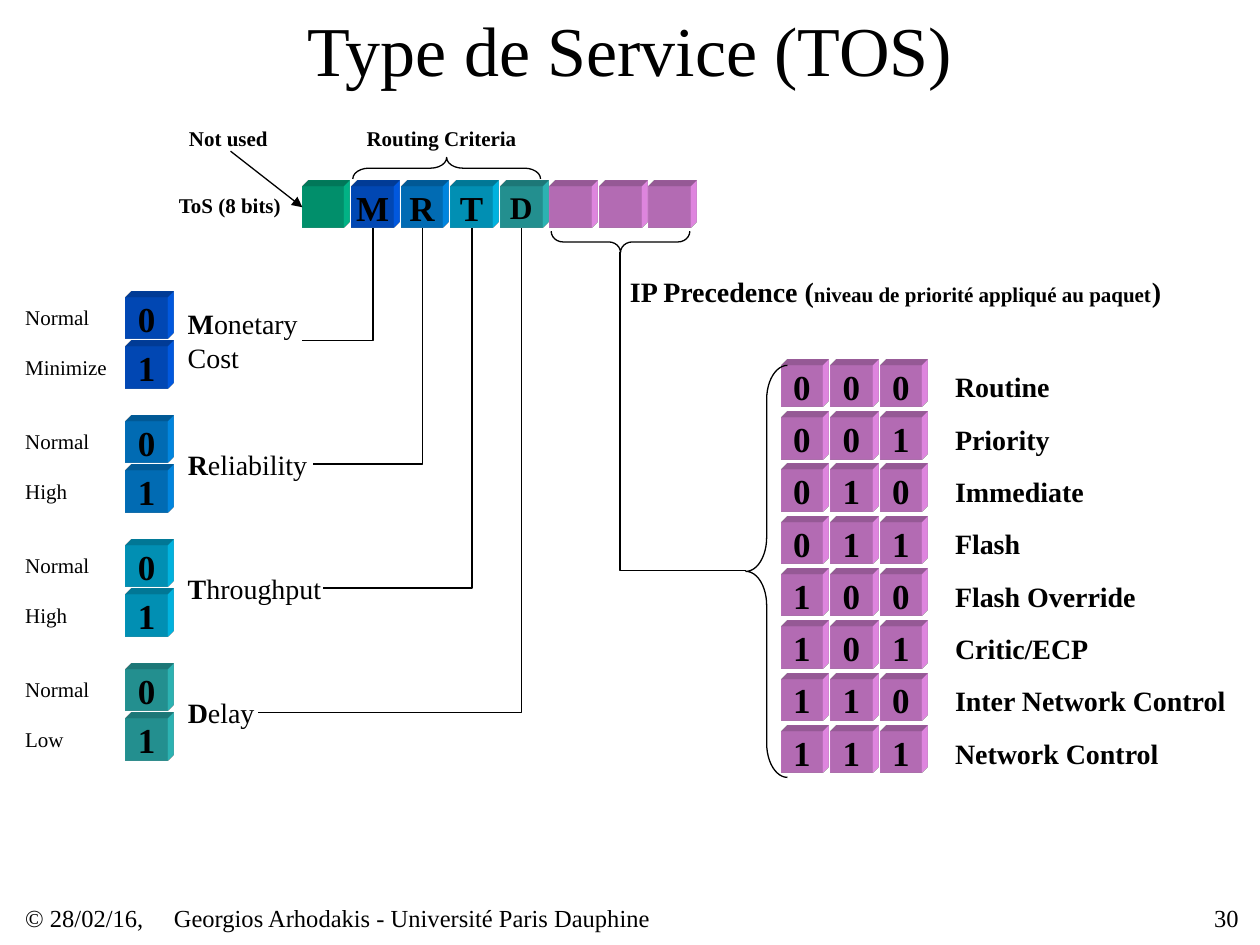
from lxml.etree import SubElement
from pptx import Presentation
from pptx.dml.color import RGBColor
from pptx.enum.shapes import MSO_CONNECTOR, MSO_SHAPE
from pptx.enum.text import MSO_ANCHOR, PP_ALIGN
from pptx.oxml import parse_xml
from pptx.oxml.ns import nsdecls, qn
from pptx.util import Inches, Pt

COLS, ROWS = 100, 75  # the grid: one cell is a tenth of an inch
SIDE, STEP = 3.3, 3.93  # cube side and pitch
PINK = "FF99FF"
ALIGN = {"l": PP_ALIGN.LEFT, "c": PP_ALIGN.CENTER, "r": PP_ALIGN.RIGHT}


def cell(n):
    return Inches(n / 10)


def color(code):
    return RGBColor.from_string(code)


def write(frame, *runs, size=12, bold=False, align="l", inset=True, wrap=True):
    """Fill a frame with runs; a run is a text or (text, changes)."""
    frame.word_wrap = wrap
    frame.vertical_anchor = MSO_ANCHOR.MIDDLE
    if not inset:
        frame.margin_left = frame.margin_right = 0
        frame.margin_top = frame.margin_bottom = 0
    par = frame.paragraphs[0]
    par.alignment = ALIGN[align]
    for item in runs:
        text, edit = (item, {}) if isinstance(item, str) else item
        run = par.add_run()
        run.text = text
        run.font.name = "Times New Roman"
        run.font.size = Pt(edit.get("size", size))
        run.font.bold = edit.get("bold", bold)
        run.font.color.rgb = color("000000")


class Board:
    ink = "000000"
    thin = 0.75

    def __init__(self, deck):
        self.slide = deck.slides.add_slide(deck.slide_layouts[5])
        self.shapes = self.slide.shapes

    def title(self, text, x, y, w, h):
        box = self.shapes.title
        box.left, box.top, box.width, box.height = map(cell, (x, y, w, h))
        write(box.text_frame, text, size=40, align="c")

    def label(self, x, y, w, h, *runs, **form):
        box = self.shapes.add_textbox(*map(cell, (x, y, w, h)))
        write(box.text_frame, *runs, inset=False, **form)

    def cube(self, x, y, fill, text="", size=20):
        box = self.shapes.add_shape(
            MSO_SHAPE.RECTANGLE, *map(cell, (x, y, SIDE, SIDE)))
        box.shadow.inherit = False
        box.fill.solid()
        box.fill.fore_color.rgb = color(fill)
        box.line.fill.background()
        if text:
            write(box.text_frame, text, size=size, bold=True, align="c", wrap=False)
        # Depth towards the top right
        props = box._element.spPr
        props.append(parse_xml(
            f'<a:scene3d {nsdecls("a")}><a:camera prst="legacyObliqueTopRight"/>'
            '<a:lightRig rig="legacyFlat3" dir="b"/></a:scene3d>'))
        props.append(parse_xml(
            f'<a:sp3d {nsdecls("a")} extrusionH="125000" prstMaterial="legacyMatte">'
            '<a:bevelT w="13500" h="13500" prst="angle"/>'
            '<a:bevelB w="13500" h="13500" prst="angle"/>'
            f'<a:extrusionClr><a:srgbClr val="{fill}"/></a:extrusionClr></a:sp3d>'))
        return box

    def brace(self, x, y, w, h, bend, turn=0, flip=False):
        mark = self.shapes.add_shape(
            MSO_SHAPE.LEFT_BRACE, *map(cell, (x, y, w, h)))
        mark.shadow.inherit = False
        mark.fill.background()
        mark.adjustments[0] = bend
        mark.rotation = turn
        if flip:
            mark._element.spPr.xfrm.set("flipV", "1")
        self.stroke(mark)

    def stroke(self, item):
        item.line.color.rgb = color(self.ink)
        item.line.width = Pt(self.thin)

    def link(self, kind, x1, y1, x2, y2):
        line = self.shapes.add_connector(kind, *map(cell, (x1, y1, x2, y2)))
        self.stroke(line)
        SubElement(line._element.spPr, qn("a:effectLst"))
        return line

    def arrow(self, x1, y1, x2, y2, goal, side):
        line = self.link(MSO_CONNECTOR.STRAIGHT, x1, y1, x2, y2)
        line.end_connect(goal, side)
        SubElement(line.line._get_or_add_ln(), qn("a:tailEnd"), type="triangle")

    def elbow(self, x1, y1, x2, y2):
        """Go down, then sideways: a one-bend connector on its side."""
        wide, high = abs(x2 - x1), abs(y2 - y1)
        left, top = (x1 + x2 - high) / 2, (y1 + y2 - wide) / 2
        line = self.link(MSO_CONNECTOR.ELBOW, left, top, left + high, top + wide)
        props = line._element.spPr
        props.find(qn("a:prstGeom")).set("prst", "bentConnector2")
        right = x2 > x1
        props.xfrm.set("rot", str((270 if right else 90) * 60000))
        if right:
            props.xfrm.set("flipH", "1")


def main():
    deck = Presentation()
    deck.slide_width, deck.slide_height = cell(COLS), cell(ROWS)
    board = Board(deck)

    # Title and footer
    board.title("Type de Service (TOS)", 7.5, 0, 85, 7.7)
    board.label(2, 71.6, 11.8, 2.4, "© 28/02/16,", size=14)
    board.label(13.8, 71.6, 59, 2.4,
                "Georgios Arhodakis - Université Paris Dauphine", size=14)
    board.label(77.5, 71.6, 20.8, 2.4, "30", size=14, align="r")

    # The eight-bit field
    field = [("00CC99", ""), ("0066FF", "M"), ("0099FF", "R"), ("00CCFF", "T"),
             ("33CCCC", "D"), (PINK, ""), (PINK, ""), (PINK, "")]
    cubes = [board.cube(24 + STEP * i, 14.8, fill, text, 18 if text == "D" else 20)
             for i, (fill, text) in enumerate(field)]
    board.label(14.2, 15.3, 8.5, 2, "ToS (8 bits)", bold=True)
    board.label(29.1, 10, 12.5, 2, "Routing Criteria", bold=True)
    board.label(15, 10, 6.7, 2, "Not used", bold=True)
    board.brace(48.4, 13.7, 1.7, 11, 0.55, turn=270)
    board.brace(34.6, 5.9, 1.7, 14.9, 0.75, turn=90, flip=True)
    board.arrow(18.3, 12, 24, 16.4, cubes[0], 1)

    # Precedence levels
    board.label(50, 21.8, 45, 2.7, "IP Precedence (",
                ("niveau de priorité appliqué au paquet", {"size": 12}), ")",
                size=16, bold=True)
    levels = ["Routine", "Priority", "Immediate", "Flash", "Flash Override",
              "Critic/ECP", "Inter Network Control", "Network Control"]
    for i, name in enumerate(levels):
        y = 29 + 4.15 * i
        for j, bit in enumerate(f"{i:03b}"):
            board.cube(62 + STEP * j, y, PINK, bit)
        board.label(75.8, y + 0.35, 21.7, 2.7, name, size=16, bold=True)
    board.brace(59.2, 29, 3.3, 32.7, 0.82)
    board.elbow(49.2, 20, 59.2, 45.3)

    # Routing criteria: name, label width, meaning of bit 1
    modes = [("Monetary Cost", 9, "Minimize"), ("Reliability", 9.8, "High"),
             ("Throughput", 10.6, "High"), ("Delay", 5.5, "Low")]
    for i, (name, wide, high) in enumerate(modes):
        y = 23.6 + 9.84 * i
        for bit, mean in enumerate(("Normal", high)):
            board.cube(10, y + STEP * bit, field[i + 1][0], str(bit))
            board.label(2, y + STEP * bit + 0.6, 7.5, 2, mean)
        board.label(14.9, y + 2, wide, 2.8,
                    (name[0], {"bold": True}), name[1:], size=16)
        board.elbow(29.6 + STEP * i, 18.1, 15 + wide, y + 3.4)

    deck.save("out.pptx")


if __name__ == "__main__":
    main()
